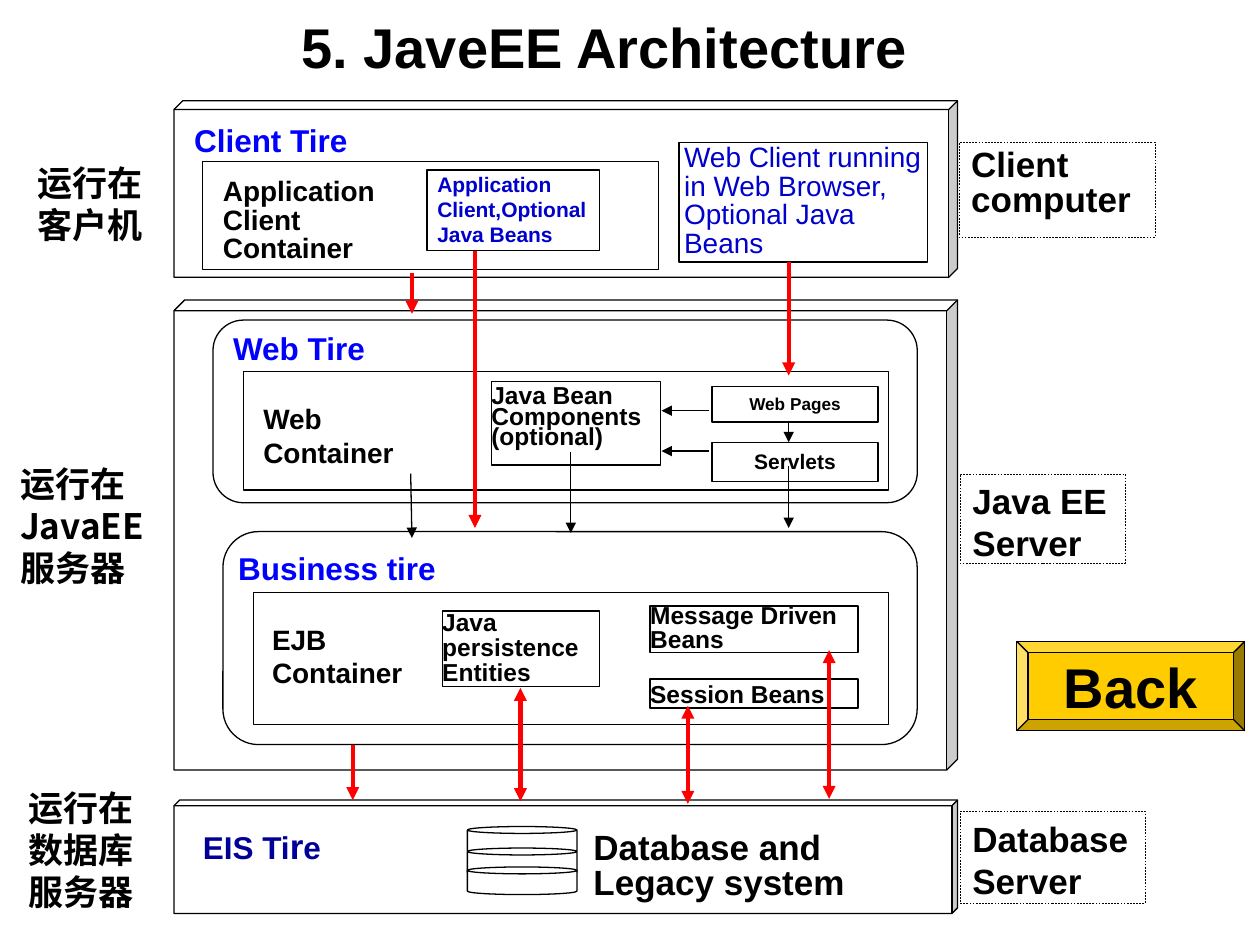
from dataclasses import dataclass
from typing import Optional

from lxml.etree import SubElement
from pptx import Presentation
from pptx.dml.color import RGBColor
from pptx.enum.dml import MSO_LINE_DASH_STYLE as Dash
from pptx.enum.shapes import MSO_CONNECTOR as Connector, MSO_SHAPE as Shape
from pptx.enum.text import MSO_ANCHOR as Anchor, MSO_AUTO_SIZE as AutoSize, PP_ALIGN as Align
from pptx.oxml.ns import qn
from pptx.util import Pt


@dataclass(frozen=True)
class Theme:
    latin: str = "Arial"
    chinese: str = "Noto Sans CJK SC"
    black: str = "000000"
    white: str = "FFFFFF"
    tier: str = "0000FF"
    client: str = "0000CC"
    storage: str = "000099"
    flow: str = "FF0000"
    button: str = "FFCC00"
    title: float = 32
    side: float = 20
    heading: float = 18
    container: float = 16
    component: float = 14
    detail: float = 12
    page: float = 9.8
    outline: float = 0.75
    dashed: float = 0.25
    arrow: float = 2.5


THEME = Theme()


@dataclass(frozen=True)
class Box:
    at: tuple
    lines: tuple = ()
    size: float = THEME.container
    color: str = THEME.black
    bold: bool = True
    font: str = THEME.latin
    align: Align = Align.JUSTIFY
    anchor: Anchor = Anchor.TOP
    spacing: Optional[float] = None
    insets: tuple = (0, 0, 0, 0)
    shape: Shape = Shape.RECTANGLE
    adjust: Optional[float] = None
    fill: Optional[str] = THEME.white
    outline: float = THEME.outline
    dash: bool = False
    wrap: bool = True


@dataclass(frozen=True)
class Arrow:
    start: tuple
    end: tuple
    flow: bool = False
    both: bool = False


def write_text(frame, lines, *, size, color, bold, font, align, anchor, spacing, insets, wrap):
    frame.auto_size = AutoSize.NONE
    frame.word_wrap = wrap
    frame.vertical_anchor = anchor
    frame.margin_left, frame.margin_top, frame.margin_right, frame.margin_bottom = map(Pt, insets)
    for index, line in enumerate(lines):
        para = frame.paragraphs[0] if index == 0 else frame.add_paragraph()
        para.alignment = align
        para.space_before = para.space_after = Pt(0)
        if spacing:
            para.line_spacing = spacing
        for text, points in ((line, size),) if isinstance(line, str) else line:
            span = para.add_run()
            span.text = text
            span.font.size = Pt(points)
            span.font.bold = bold
            span.font.color.rgb = RGBColor.from_string(color)
            span.font.name = font
            SubElement(span.font._element, qn("a:ea"), typeface=font)


def draw_box(page, box: Box) -> None:
    shape = page.shapes.add_shape(box.shape, *map(Pt, box.at))
    shape.shadow.inherit = False
    if box.adjust is not None:
        shape.adjustments[0] = box.adjust
    if box.fill:
        shape.fill.solid()
        shape.fill.fore_color.rgb = RGBColor.from_string(box.fill)
    else:
        shape.fill.background()
    if box.outline:
        shape.line.color.rgb = RGBColor.from_string(THEME.black)
        shape.line.width = Pt(box.outline)
        if box.dash:
            shape.line.dash_style = Dash.DASH
    else:
        shape.line.fill.background()
    if box.lines:
        write_text(shape.text_frame, box.lines, size=box.size, color=box.color, bold=box.bold,
                   font=box.font, align=box.align, anchor=box.anchor, spacing=box.spacing,
                   insets=box.insets, wrap=box.wrap)


def draw_arrow(page, arrow: Arrow) -> None:
    line = page.shapes.add_connector(Connector.STRAIGHT, *map(Pt, arrow.start + arrow.end))
    line.line.color.rgb = RGBColor.from_string(THEME.flow if arrow.flow else THEME.black)
    line.line.width = Pt(THEME.arrow if arrow.flow else THEME.outline)
    outline = line.line._get_or_add_ln()
    for end in ("a:headEnd", "a:tailEnd") if arrow.both else ("a:tailEnd",):
        SubElement(outline, qn(end), type="triangle")
    SubElement(line._element.spPr, qn("a:effectLst"))


def tier_cube(top: float, height: float, adjust: float) -> Box:
    return Box((99.4, top, 447.8, height), shape=Shape.CUBE, adjust=adjust)


def rounded(*at: float) -> Box:
    return Box(at, shape=Shape.ROUNDED_RECTANGLE, adjust=0.167)


def label(at: tuple, *lines, **style) -> Box:
    return Box(at, lines, outline=0, **style)


def heading(at: tuple, *lines, color: str = THEME.tier) -> Box:
    return label(at, *lines, size=THEME.heading, color=color)


def machine(at: tuple, *lines: str, spacing: Optional[float] = None) -> Box:
    return Box(at, lines, size=THEME.side, spacing=spacing, insets=PADDING,
               outline=THEME.dashed, dash=True)


def chinese(at: tuple, *lines: str, insets: tuple) -> Box:
    return label(at, *lines, size=THEME.side, font=THEME.chinese, align=Align.LEFT,
                 insets=insets, fill=None)


def component(at: tuple, *lines: str, **style) -> Box:
    return Box(at, lines, size=THEME.component, **style)


PADDING = (7.2, 3.6, 7.2, 3.6)
UPRIGHT = (0, 3.6, 0, 3.6)

BOXES = [
    tier_cube(171.4, 268.6, 0.023),
    rounded(127.4, 303.8, 396.7, 121.7),
    rounded(121.7, 182.9, 402.5, 104.4),
    tier_cube(457.2, 64.8, 0.05),
    tier_cube(57.6, 100.8, 0.05),
    Box((388.1, 81.4, 141.8, 68.4),
        ("Web Client running in Web Browser,", "Optional Java", "Beans"),
        color=THEME.client, bold=False, align=Align.LEFT, spacing=0.85,
        insets=(2.9, 1.4, 1.4, 1.4)),
    Box((115.9, 92.2, 260.6, 61.9)),
    Box((244.1, 97.2, 98.6, 46.1), ("Application Client,Optional Java Beans",),
        size=THEME.detail, color=THEME.client, insets=(5.8, 0.7, 0, 0.7)),
    label((127.4, 102.2, 102.2, 49), "Application Client", "Container", spacing=0.85),
    machine((547.9, 81.4, 112.3, 54), "Client computer", spacing=0.85),
    Box((139, 212.4, 368.6, 67.7)),
    component((280.8, 218.2, 96.5, 47.5), "Java Bean", "Components", "(optional)",
              spacing=0.7, insets=UPRIGHT),
    label((150.5, 229.7, 85, 38.2), "Web", "Container"),
    machine((548.6, 270.7, 94.3, 51.1), "Java EE", "Server"),
    Box((144.7, 338.4, 362.9, 75.6)),
    component((371.5, 388.1, 118.8, 16.6), "Session Beans"),
    label((155.5, 355.7, 98.6, 38.2), "EJB", "Container"),
    component((371.5, 346.3, 118.8, 26.6), "Message Driven", "Beans", spacing=0.8),
    machine((548.6, 463.7, 105.8, 52.6), "Database Server"),
    *(Box((267.1, top, 62.6, 15.8), shape=Shape.CAN, adjust=0.25) for top in (472.3, 484.6, 495.4)),
    label((339.1, 475.2, 168.5, 41), "Database and", "Legacy system",
          size=THEME.side, spacing=0.85),
    heading((115.9, 470.9, 85, 23.8),
            (("EIS Ti", THEME.heading), ("r", THEME.side), ("e", THEME.heading)),
            color=THEME.storage),
    heading((136.1, 313.9, 139, 21.6), "Business tire"),
    heading((133.2, 187.9, 79.2, 21.6), "Web Tire"),
    heading((110.9, 69.1, 102.2, 21.6), "Client Tire"),
    component((252.7, 349.2, 90, 43.2), "Java persistence", "Entities", spacing=0.85),
    Box((406.8, 252.7, 95, 22.3), ("Servlets",), size=THEME.detail,
        align=Align.CENTER, insets=PADDING),
    Box((406.8, 221, 95, 20.2), ("Web Pages",), size=THEME.page,
        align=Align.CENTER, insets=UPRIGHT),
    chinese((14.4, 88.6, 85, 55.4), "运行在", "客户机", insets=PADDING),
    chinese((11.5, 264.2, 82.1, 72), "运行在", "JavaEE", "服务器", insets=(0, 0, 0, 0)),
    chinese((9.4, 445.7, 85, 79.2), "运行在", "数据库", "服务器", insets=PADDING),
    Box((581, 366.5, 130.3, 51.1), ("Back",), size=THEME.title, align=Align.CENTER,
        anchor=Anchor.MIDDLE, insets=PADDING, shape=Shape.BEVEL, adjust=0.125,
        fill=THEME.button, wrap=False),
]

ARROWS = [
    Arrow((297.4, 393.1), (297.4, 457.9), flow=True, both=True),
    Arrow((473.8, 371.5), (473.8, 456.5), flow=True, both=True),
    Arrow((393.1, 403.2), (393.1, 459.4), flow=True, both=True),
    Arrow((450.7, 149.8), (450.7, 214.6), flow=True),
    Arrow((271.4, 143.3), (271.4, 301.7), flow=True),
    Arrow((235.4, 156.2), (235.4, 179.3), flow=True),
    Arrow((201.6, 425.5), (201.6, 457.2), flow=True),
    Arrow((405.4, 234.7), (378, 234.7)),
    Arrow((405.4, 257.8), (378, 257.8)),
    Arrow((326.2, 258.5), (326.2, 304.6)),
    Arrow((234.7, 270.7), (235.4, 307.4)),
    Arrow((450.7, 241.2), (450.7, 252.7)),
    Arrow((450.7, 266.4), (450.7, 301.7)),
]


def main() -> None:
    deck = Presentation()
    deck.slide_width, deck.slide_height = Pt(720), Pt(540)
    page = deck.slides.add_slide(deck.slide_layouts[5])
    title = page.shapes.title
    title.left, title.top, title.width, title.height = map(Pt, (110.2, 9.4, 470.2, 33.8))
    write_text(title.text_frame, ("5. JaveEE Architecture",), size=THEME.title,
               color=THEME.black, bold=True, font=THEME.latin, align=Align.CENTER,
               anchor=Anchor.MIDDLE, spacing=None, insets=PADDING, wrap=True)
    for box in BOXES:
        draw_box(page, box)
    for arrow in ARROWS:
        draw_arrow(page, arrow)
    deck.save("out.pptx")


if __name__ == "__main__":
    main()
